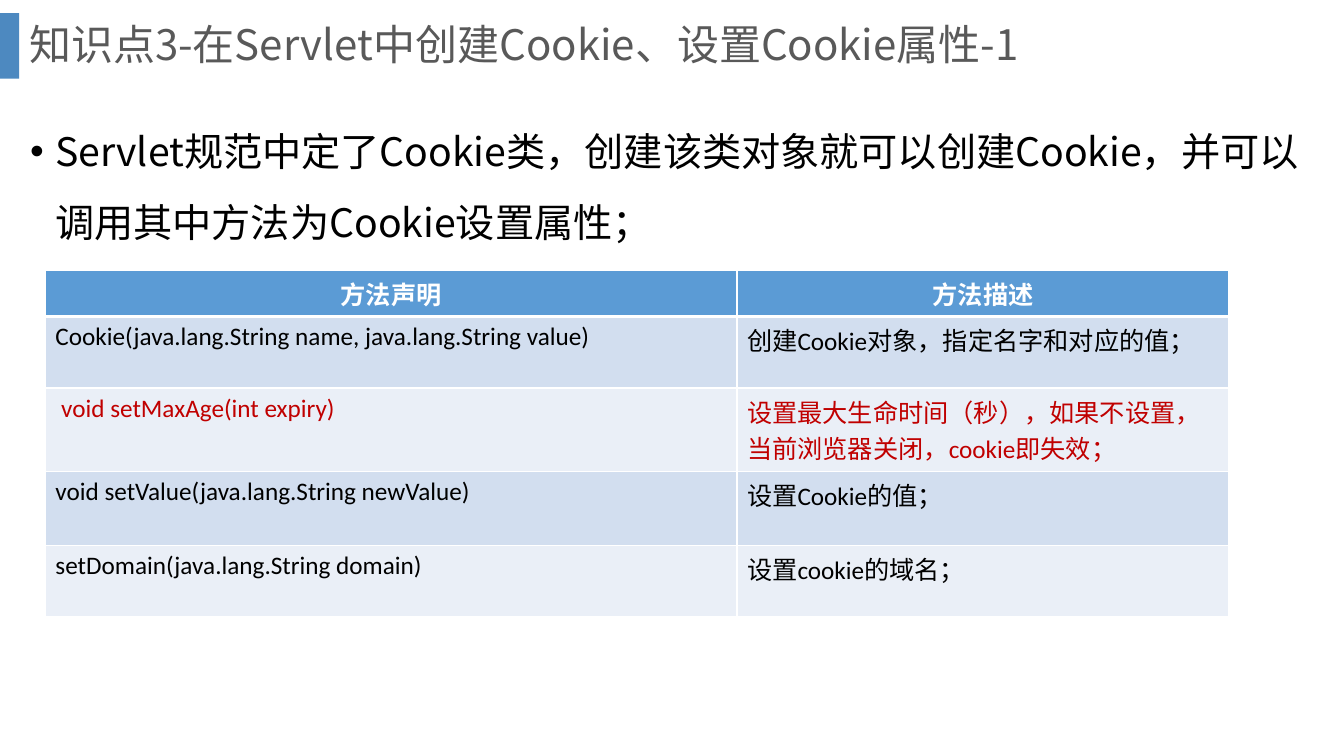
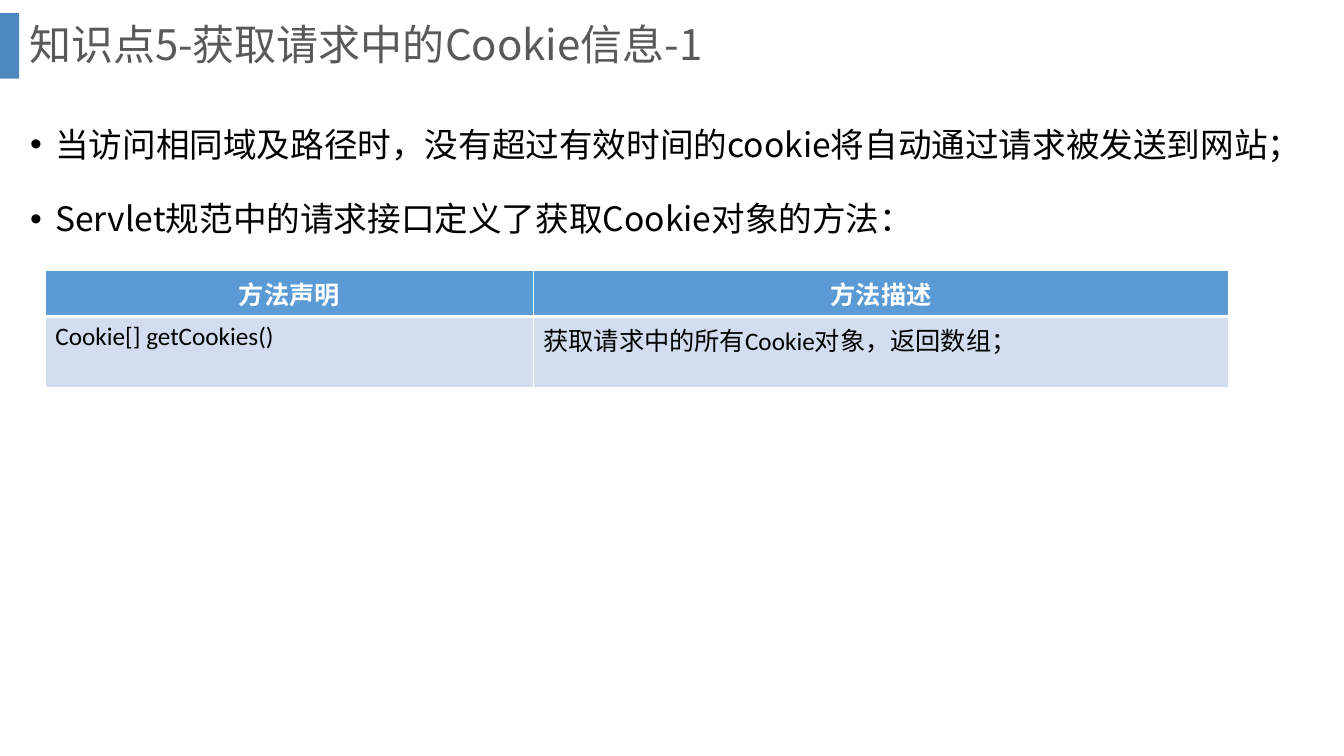
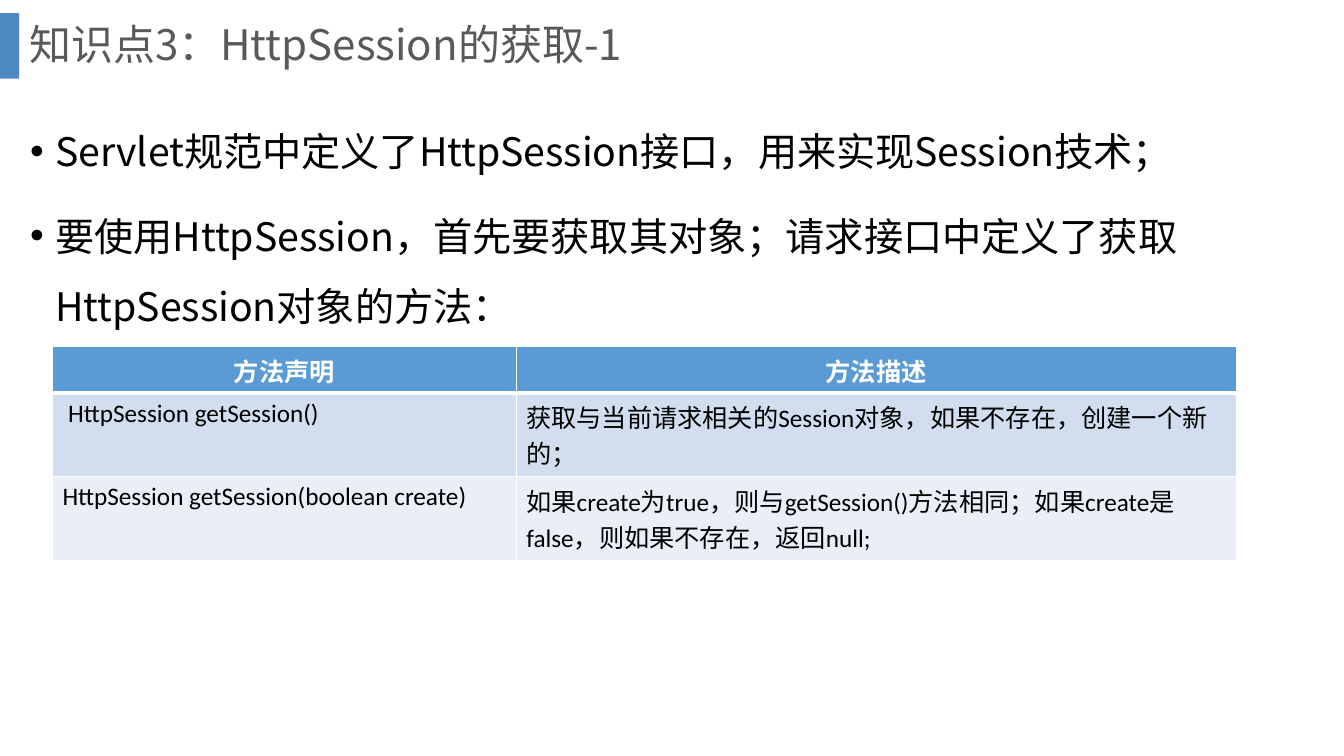
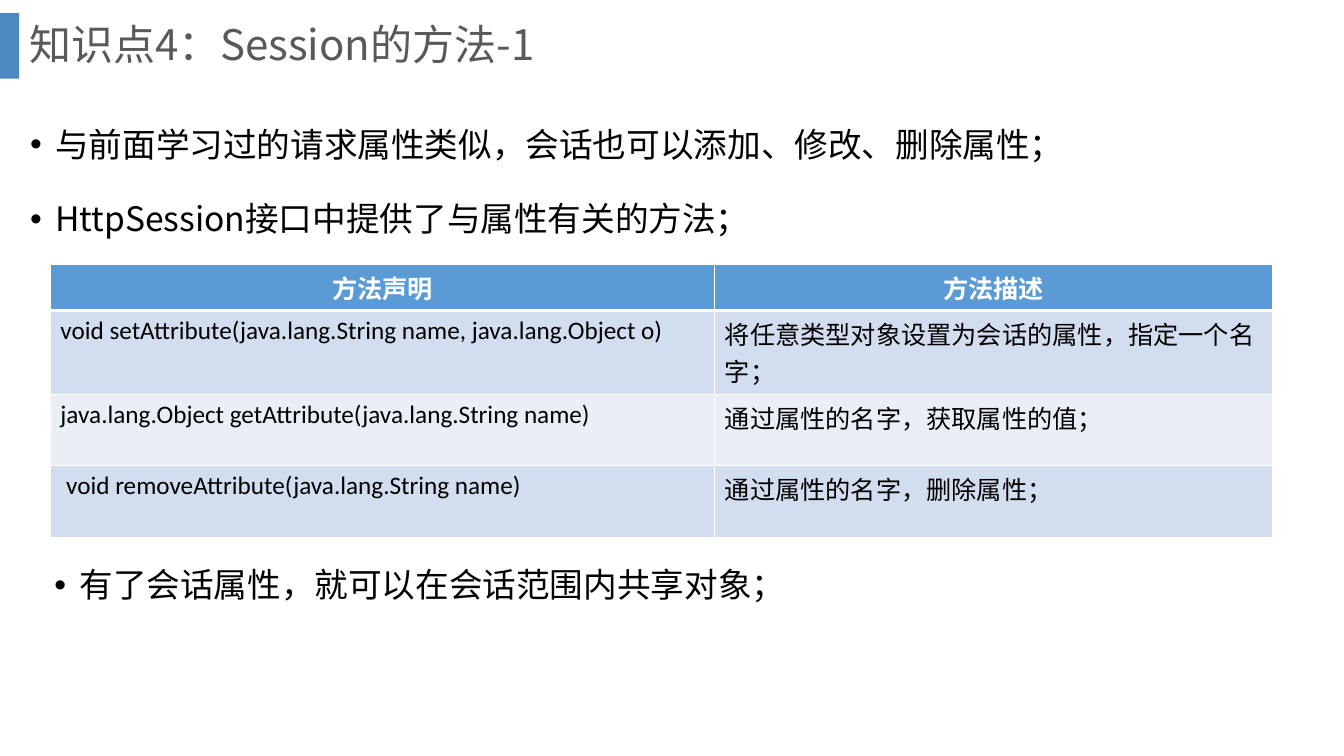
from dataclasses import dataclass

from lxml import etree
from pptx import Presentation
from pptx.dml.color import RGBColor
from pptx.enum import shapes, text
from pptx.oxml import ns
from pptx.util import Inches, Pt


@dataclass(frozen=True)
class Theme:
    font: str = "Noto Sans CJK SC"
    table_font: str = "Calibri"
    title_size: int = 30
    large_size: int = 28
    body_size: int = 24
    table_size: int = 18
    accent: str = "2E75B6"
    title: str = "595959"
    ink: str = "000000"
    alert: str = "C00000"
    white: str = "FFFFFF"
    header: str = "5B9BD5"
    bands: tuple = ("D2DEEF", "EAEFF7")


T = Theme()
HEADINGS = ("方法声明", "方法描述")
HEADER_H, ONE_LINE, TWO_LINES = 0.46, 0.71, 0.83
BULLET_INDENT = 0.25
TITLE_BOX = (0.19, 0, 12.66, 0.93)


def sub(parent, tag, **attrs):
    return etree.SubElement(parent, ns.qn(tag), attrs)


def write(p, words, size=T.body_size, color=T.ink, font=T.font, bold=False,
          align=None, line=None, before=None):
    r = p.add_run()
    r.text = words
    f = r.font
    f.size, f.bold, f.name = Pt(size), bold, font
    f.color.rgb = RGBColor.from_string(color)
    sub(r._r.get_or_add_rPr(), "a:ea", typeface=T.font)
    if align is not None:
        p.alignment = align
    if line:
        p.line_spacing = line
    if before:
        p.space_before = Pt(before)


def add_bullet(p):
    pPr = p._p.get_or_add_pPr()
    pPr.set("marL", str(Inches(BULLET_INDENT)))
    pPr.set("indent", str(-Inches(BULLET_INDENT)))
    sub(pPr, "a:buFont", typeface="Arial")
    sub(pPr, "a:buChar", char="•")


def text_frame(s, box, anchor=text.MSO_ANCHOR.TOP):
    tf = s.shapes.add_textbox(*map(Inches, box)).text_frame
    tf.word_wrap = True
    tf.vertical_anchor = anchor
    return tf


def title_bar(s, words):
    sp = s.shapes.add_shape(shapes.MSO_SHAPE.RECTANGLE,
                            *map(Inches, (0, 0.13, 0.19, 0.65)))
    sp.shadow.inherit = False
    sp.line.fill.background()
    sp.fill.solid()
    sp.fill.fore_color.rgb = RGBColor.from_string(T.accent)
    color = sp._element.spPr.find(".//" + ns.qn("a:srgbClr"))
    sub(color, "a:alpha", val="85000")
    tf = text_frame(s, TITLE_BOX, text.MSO_ANCHOR.MIDDLE)
    write(tf.paragraphs[0], words, size=T.title_size, color=T.title, line=0.9)


def bullets(s, box, items, size=T.body_size):
    tf = text_frame(s, box)
    for i, item in enumerate(items):
        p = tf.add_paragraph() if i else tf.paragraphs[0]
        write(p, item, size=size, line=1.5, before=10)
        add_bullet(p)


def style_cell(cell, fill, top=1, bottom=1):
    """Draw white borders (widths in points), then the fill they precede."""
    tcPr = cell._tc.get_or_add_tcPr()
    for side, width in zip("LRTB", (1, 1, top, bottom)):
        ln = sub(tcPr, "a:ln" + side, w=str(Pt(width)))
        sub(sub(ln, "a:solidFill"), "a:srgbClr", val=T.white)
    cell.fill.solid()
    cell.fill.fore_color.rgb = RGBColor.from_string(fill)


def method_table(s, left, top, widths, rows):
    """rows: (declaration, description, height[, colour])."""
    heights = [HEADER_H] + [row[2] for row in rows]
    box = (left, top, sum(widths), sum(heights))
    table = s.shapes.add_table(len(heights), len(widths),
                               *map(Inches, box)).table
    table.first_row = table.horz_banding = False
    for column, width in zip(table.columns, widths):
        column.width = Inches(width)
    for row, height in zip(table.rows, heights):
        row.height = Inches(height)

    for c, heading in enumerate(HEADINGS):
        cell = table.cell(0, c)
        style_cell(cell, T.header, bottom=3)
        write(cell.text_frame.paragraphs[0], heading, size=T.table_size,
              color=T.white, font=T.table_font, bold=True,
              align=text.PP_ALIGN.CENTER)
    for i, (declaration, description, _, *color) in enumerate(rows):
        for c, words in enumerate((declaration, description)):
            cell = table.cell(i + 1, c)
            style_cell(cell, T.bands[i % 2], top=1 if i else 3)
            write(cell.text_frame.paragraphs[0], words, size=T.table_size,
                  color=color[0] if color else T.ink, font=T.table_font)


def method_slide(prs, title, items, body_h, table, size=T.body_size):
    s = prs.slides.add_slide(prs.slide_layouts[6])
    title_bar(s, title)
    bullets(s, (0.2, 0.98, 12.9, body_h), items, size)
    method_table(s, *table)
    return s


def main():
    prs = Presentation()
    prs.slide_width, prs.slide_height = Inches(13.33), Inches(7.5)

    method_slide(
        prs, "知识点3-在Servlet中创建Cookie、设置Cookie属性-1",
        ["Servlet规范中定了Cookie类，创建该类对象就可以创建Cookie，并可以调用其中方法为Cookie设置属性；"],
        1.85,
        (0.45, 2.68, (6.86, 4.88), [
            ("Cookie(java.lang.String name, java.lang.String value)",
             "创建Cookie对象，指定名字和对应的值；", ONE_LINE),
            (" void setMaxAge(int expiry)",
             "设置最大生命时间（秒），如果不设置，当前浏览器关闭，cookie即失效；",
             TWO_LINES, T.alert),
            ("void setValue(java.lang.String newValue)",
             "设置Cookie的值；", 0.73),
            ("setDomain(java.lang.String domain)",
             "设置cookie的域名；", ONE_LINE),
        ]), size=T.large_size)

    method_slide(
        prs, "知识点5-获取请求中的Cookie信息-1",
        ["当访问相同域及路径时，没有超过有效时间的cookie将自动通过请求被发送到网站；",
         "Servlet规范中的请求接口定义了获取Cookie对象的方法："],
        1.67,
        (0.45, 2.68, (4.84, 6.9), [
            ("Cookie[] getCookies()",
             "获取请求中的所有Cookie对象，返回数组；", ONE_LINE),
        ]))

    method_slide(
        prs, "知识点3：HttpSession的获取-1",
        ["Servlet规范中定义了HttpSession接口，用来实现Session技术；",
         "要使用HttpSession，首先要获取其对象；请求接口中定义了获取HttpSession对象的方法："],
        2.45,
        (0.52, 3.44, (4.6, 7.14), [
            (" HttpSession getSession()",
             "获取与当前请求相关的Session对象，如果不存在，创建一个新的；", TWO_LINES),
            ("HttpSession getSession(boolean create)",
             "如果create为true，则与getSession()方法相同；如果create是false，则如果不存在，返回null;",
             TWO_LINES),
        ]), size=T.large_size)

    s = method_slide(
        prs, "知识点4：Session的方法-1",
        ["与前面学习过的请求属性类似，会话也可以添加、修改、删除属性；",
         "HttpSession接口中提供了与属性有关的方法；"],
        1.63,
        (0.5, 2.62, (6.59, 5.53), [
            ("void setAttribute(java.lang.String name, java.lang.Object o)",
             "将任意类型对象设置为会话的属性，指定一个名字；", TWO_LINES),
            ("java.lang.Object getAttribute(java.lang.String name)",
             "通过属性的名字，获取属性的值；", ONE_LINE),
            (" void removeAttribute(java.lang.String name)",
             "通过属性的名字，删除属性；", ONE_LINE),
        ]))
    bullets(s, (0.44, 5.35, 12.9, 1.63), ["有了会话属性，就可以在会话范围内共享对象；"])

    prs.save("out.pptx")


if __name__ == "__main__":
    main()
